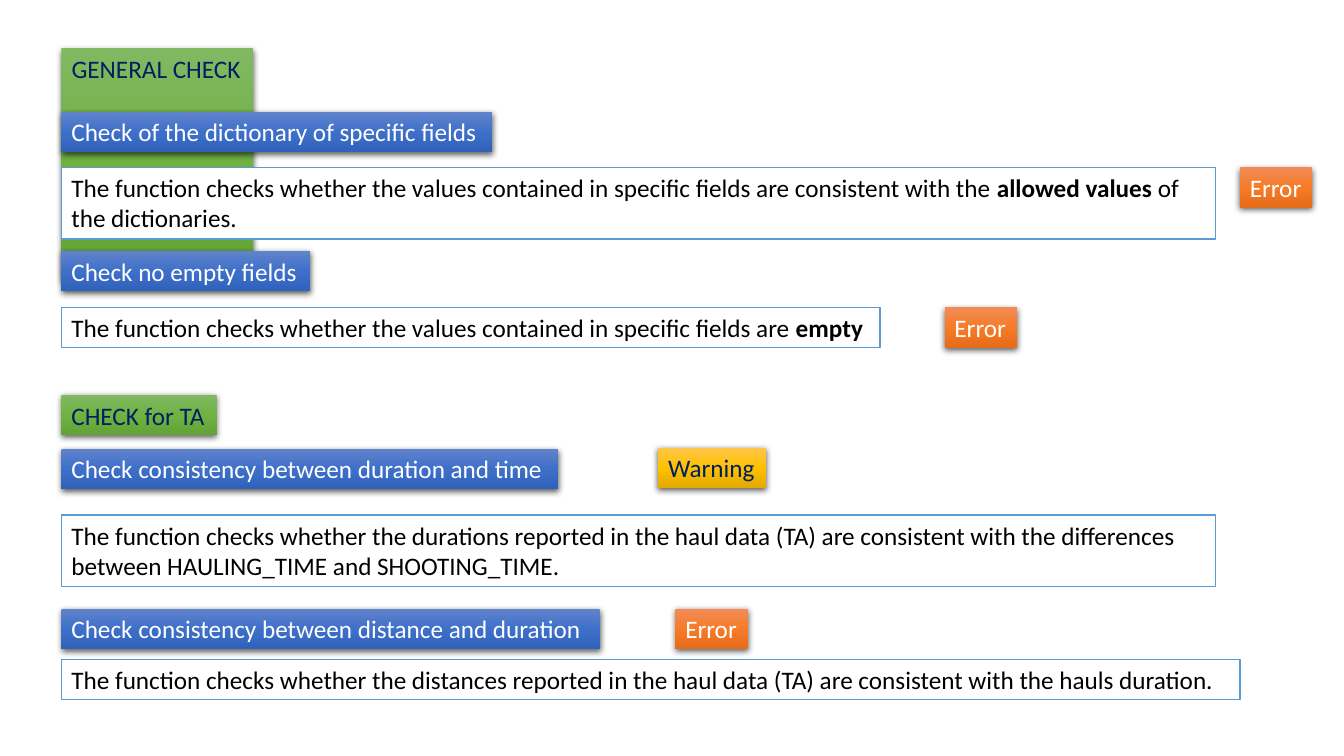
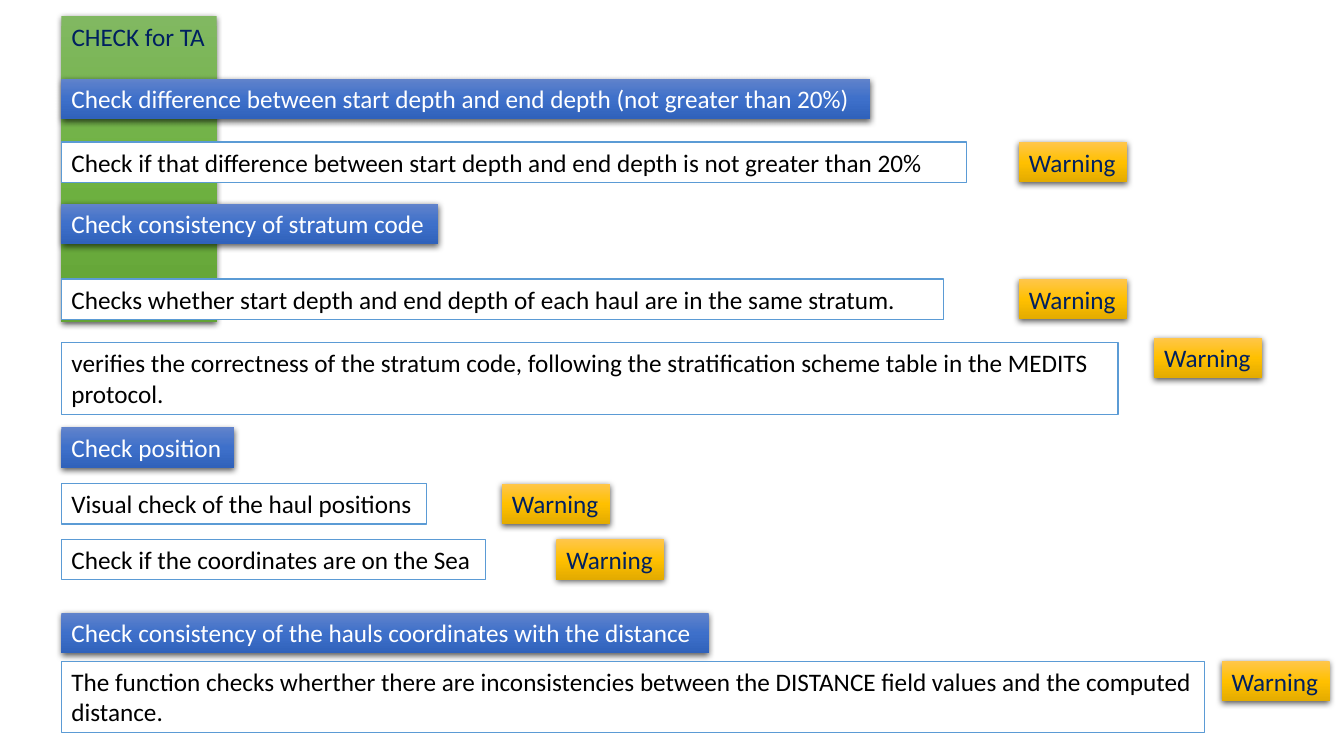
"""Build two slides that list data checks with their severity."""
from dataclasses import dataclass
from typing import Optional

import lxml.etree
import pptx
import pptx.dml.color
import pptx.enum.shapes
import pptx.enum.text
import pptx.oxml.ns
import pptx.util

CELL = 0.1
COLUMNS, ROWS = 133.33, 75
LEFT = 6.1
LINE_ROWS = {1: 4, 2: 7.1}
FONT, SIZE = "Calibri", 18
NAVY, WHITE, BLACK, OUTLINE = "002060", "FFFFFF", "000000", "5B9BD5"


@dataclass(frozen=True)
class Style:
    fills: tuple[str, ...]
    text_color: str
    wrap: bool = False


HEADING = Style(("81B861", "6FB242", "62A336"), NAVY)
CHECK = Style(("6183CB", "3E70CA", "3062BB"), WHITE)
NOTE = Style((WHITE,), BLACK, wrap=True)
ERROR = Style(("F18C57", "F67B28", "E56C19"), WHITE)
WARNING = Style(("FFC64B", "FFC000", "E3AB00"), NAVY)


@dataclass(frozen=True)
class Severity:
    label: str
    width: float
    style: Style


@dataclass(frozen=True)
class Flag:
    severity: Severity
    left: float
    rise: float = 0


@dataclass(frozen=True)
class Box:
    style: Style
    top: float
    width: float
    text: str
    lines: int = 1
    flag: Optional[Flag] = None


FAILS = Severity("Error", 7.2, ERROR)
WARNS = Severity("Warning", 10.7, WARNING)

SLIDES = (
    (
        Box(HEADING, 4.8, 19, "GENERAL CHECK"),
        Box(CHECK, 11.1, 42.7, "Check of the dictionary of specific fields"),
        Box(NOTE, 16.6, 114.5,
            "The function checks whether the values contained in specific fields are "
            "consistent with the **allowed values **of the dictionaries.",
            2, Flag(FAILS, 123)),
        Box(CHECK, 24.9, 24.7, "Check no empty fields"),
        Box(NOTE, 30.5, 81.2,
            "The function checks whether the values contained in specific fields are **empty",
            flag=Flag(FAILS, 93.7)),
        Box(HEADING, 39.2, 15.4, "CHECK for TA"),
        Box(CHECK, 44.5, 49.3, "Check consistency between duration and time",
            flag=Flag(WARNS, 65.3, 0.1)),
        Box(NOTE, 51.1, 114.5,
            "The function checks whether the durations reported in the haul data (TA) are "
            "consistent with the differences between HAULING_TIME and SHOOTING_TIME.", 2),
        Box(CHECK, 60.4, 53.4, "Check consistency between distance and duration",
            flag=Flag(FAILS, 67)),
        Box(NOTE, 65.4, 116.9,
            "The function checks whether the distances reported in the haul data (TA) are "
            "consistent with the hauls duration."),
    ),
    (
        Box(HEADING, 1.6, 15.4, "CHECK for TA"),
        Box(CHECK, 7.8, 80.2,
            "Check difference between start depth and end depth (not greater than 20%)"),
        Box(NOTE, 14.1, 89.8,
            "Check if that difference between start depth and end depth is not greater than 20%",
            flag=Flag(WARNS, 101.1)),
        Box(CHECK, 20.2, 37.4, "Check consistency of stratum code"),
        Box(NOTE, 27.7, 87.5,
            "Checks whether start depth and end depth of each haul are in the same stratum.",
            flag=Flag(WARNS, 101.1)),
        Box(NOTE, 34, 104.8,
            "verifies the correctness of the stratum code, following the stratification "
            "scheme table in the MEDITS protocol.", 2, Flag(WARNS, 114.5, 0.5)),
        Box(CHECK, 42.4, 17.1, "Check position"),
        Box(NOTE, 48, 36.2, "Visual check of the haul positions", flag=Flag(WARNS, 49.8)),
        Box(NOTE, 53.5, 42.1, "Check if the coordinates are on the Sea",
            flag=Flag(WARNS, 55.2)),
        Box(CHECK, 60.8, 64.2,
            "Check consistency of the hauls coordinates with the distance"),
        Box(NOTE, 65.6, 113.4,
            "The function checks wherther there are inconsistencies between the DISTANCE "
            "field values and the computed distance.", 2, Flag(WARNS, 121.2)),
    ),
)


def cells(count: float) -> int:
    return pptx.util.Inches(count * CELL)


def rgb(color: str) -> pptx.dml.color.RGBColor:
    return pptx.dml.color.RGBColor.from_string(color)


def add_element(parent, tag: str, **attributes: str):
    return lxml.etree.SubElement(parent, pptx.oxml.ns.qn(tag), attributes)


def write_text(shape, text: str, *, color: str, wrap: bool) -> None:
    frame = shape.text_frame
    frame.word_wrap = wrap
    frame.auto_size = pptx.enum.text.MSO_AUTO_SIZE.SHAPE_TO_FIT_TEXT
    frame.vertical_anchor = pptx.enum.text.MSO_ANCHOR.TOP
    paragraph = frame.paragraphs[0]
    paragraph.alignment = pptx.enum.text.PP_ALIGN.LEFT
    for index, part in enumerate(text.split("**")):
        run = paragraph.add_run()
        run.text = part
        run.font.name = FONT
        run.font.size = pptx.util.Pt(SIZE)
        run.font.bold = index % 2 == 1
        run.font.color.rgb = rgb(color)


def fill_gradient(shape, colors: tuple[str, ...]) -> None:
    shape.fill.gradient()
    shape.fill.gradient_angle = 270
    stops = shape.element.spPr.find(".//" + pptx.oxml.ns.qn("a:gsLst"))
    for stop in list(stops):
        stops.remove(stop)
    for index, color in enumerate(colors):
        position = 100000 * index // (len(colors) - 1)
        stop = add_element(stops, "a:gs", pos=str(position))
        add_element(stop, "a:srgbClr", val=color)


def cast_shadow(shape) -> None:
    effects = shape.element.spPr.find(pptx.oxml.ns.qn("a:effectLst"))
    shadow = add_element(effects, "a:outerShdw", blurRad="57150", dist="19050",
                         dir="5400000", algn="ctr", rotWithShape="0")
    color = add_element(shadow, "a:srgbClr", val=BLACK)
    add_element(color, "a:alpha", val="63000")


def apply_style(shape, style: Style) -> None:
    shape.shadow.inherit = False
    if len(style.fills) > 1:
        fill_gradient(shape, style.fills)
        shape.line.fill.background()
        cast_shadow(shape)
    else:
        shape.fill.solid()
        shape.fill.fore_color.rgb = rgb(style.fills[0])
        shape.line.color.rgb = rgb(OUTLINE)
        shape.line.width = pptx.util.Pt(1)


def draw_box(slide, box: Box, left: float = LEFT, is_title: bool = False) -> None:
    place = [cells(n) for n in (left, box.top, box.width, LINE_ROWS[box.lines])]
    if is_title:
        shape = slide.shapes.title
        shape.left, shape.top, shape.width, shape.height = place
    else:
        shape = slide.shapes.add_shape(pptx.enum.shapes.MSO_SHAPE.RECTANGLE, *place)
    apply_style(shape, box.style)
    write_text(shape, box.text, color=box.style.text_color, wrap=box.style.wrap)
    if box.flag:
        severity = box.flag.severity
        draw_box(slide, Box(severity.style, box.top - box.flag.rise, severity.width,
                            severity.label), box.flag.left)


def main() -> None:
    presentation = pptx.Presentation()
    presentation.slide_width = cells(COLUMNS)
    presentation.slide_height = cells(ROWS)
    title_only = presentation.slide_layouts[5]
    for boxes in SLIDES:
        slide = presentation.slides.add_slide(title_only)
        for index, box in enumerate(boxes):
            draw_box(slide, box, is_title=index == 0)
    presentation.save("out.pptx")


if __name__ == "__main__":
    main()
